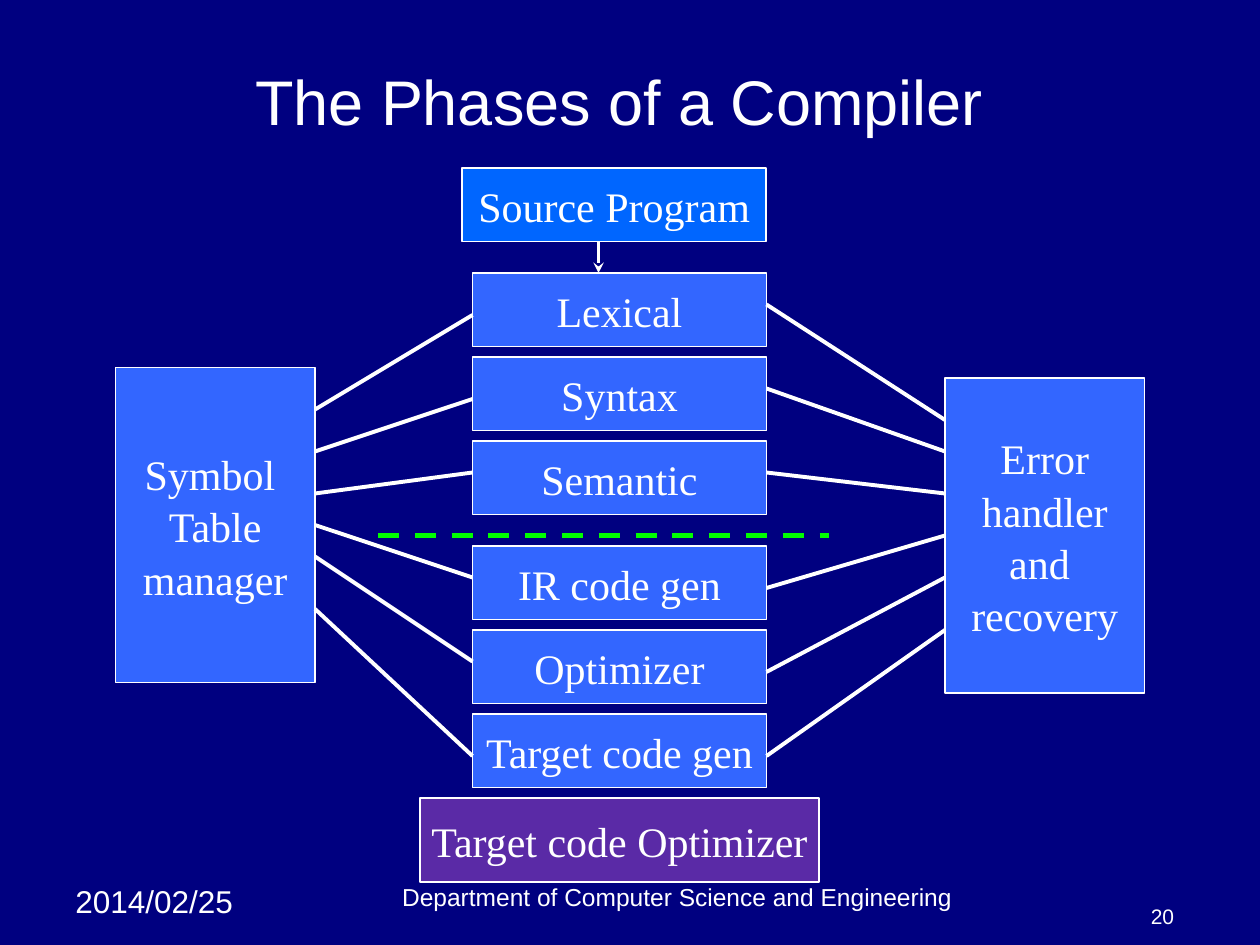
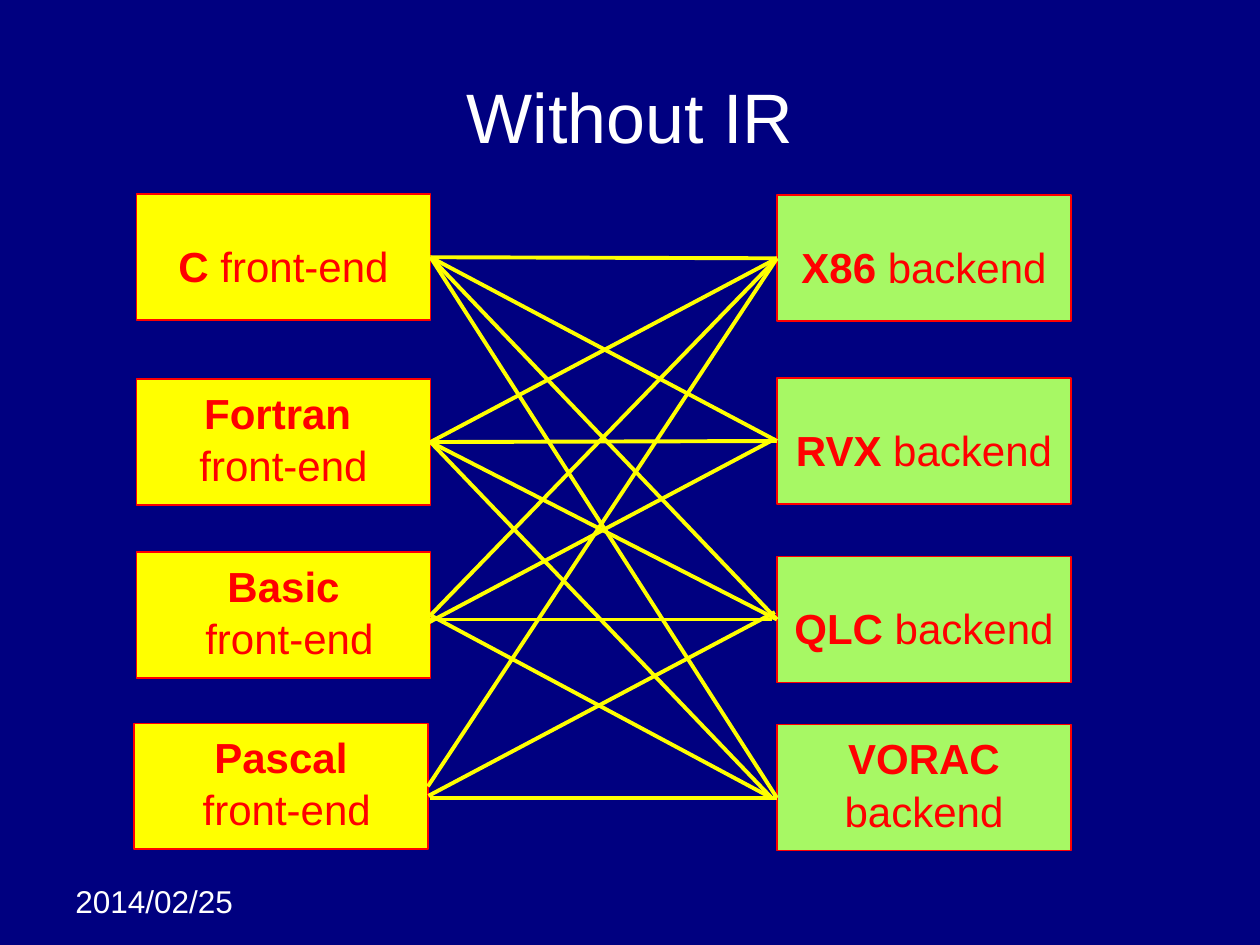
from dataclasses import dataclass
from typing import NamedTuple, Optional

from lxml import etree
from pptx import Presentation, util as u
from pptx.dml.color import RGBColor
from pptx.enum import dml, shapes, text
from pptx.oxml import ns

COLUMNS, ROWS = 120, 90
SLIDE_WIDTH, SLIDE_HEIGHT = u.Inches(10), u.Inches(7.5)
COLORS = {
    "navy": "000080", "white": "FFFFFF", "phase": "3366FF", "source": "0066FF",
    "purple": "5A2AA6", "divider": "00FF00", "yellow": "FFFF00",
    "green": "A7F864", "red": "FF0000",
}
SANS, SERIF = "Arial", "Times New Roman"
CENTER, LEFT, RIGHT = text.PP_ALIGN.CENTER, text.PP_ALIGN.LEFT, text.PP_ALIGN.RIGHT
TOP, MIDDLE, BOTTOM = text.MSO_ANCHOR.TOP, text.MSO_ANCHOR.MIDDLE, text.MSO_ANCHOR.BOTTOM
LEFT_SIDE, RIGHT_SIDE = 1, 3


class Run(NamedTuple):
    words: str
    bold: bool = False
    size: Optional[float] = None


class Point(NamedTuple):
    column: float
    row: float


@dataclass
class Area:
    column: float
    row: float
    width: float
    height: float


@dataclass
class Phase:
    name: str
    symbol_rows: tuple
    error_rows: tuple


@dataclass
class End:
    name: str
    area: Area
    lines: list
    inset_top: float = 0.05


@dataclass
class Wire:
    front: int
    back: int
    start: Optional[Point] = None
    finish: Optional[Point] = None


PHASES = [
    Phase("Lexical", (39, 30), (29, 40)),
    Phase("Syntax", (43, 38), (37, 43)),
    Phase("Semantic", (47, 45), (45, 47)),
    Phase("IR code gen", (50, 55), (56, 51)),
    Phase("Optimizer", (53, 63), (64, 55)),
    Phase("Target code gen", (58, 72), (72, 60)),
]
PHASE_LEFT, PHASE_WIDTH, BOX_HEIGHT = 45, 28, 7
FIRST_PHASE_ROW, PHASE_STEP, BACK_PHASES_FROM, DIVIDER_GAP = 26, 8, 3, 2
SYMBOL_TABLE = Area(11, 35, 19, 30)
ERROR_HANDLER = Area(90, 36, 19, 30)

LOWERED = 0.35
FRONT_ENDS = [
    End("C", Area(13, 18.5, 28, 12), [[Run("C", True), Run(" front-end")]], LOWERED),
    End("Fortran", Area(13, 36.1, 28, 12), [[Run("Fortran ", True)], [Run("front-end")]]),
    End("Basic", Area(13, 52.6, 28, 12), [[Run("Basic", True)], [Run(" front-end")]]),
    End("Pascal", Area(12.75, 68.9, 28, 12), [[Run("Pascal", True)], [Run(" front-end")]]),
]
BACKENDS = [
    End(name, Area(74, row, 28, 12), [[Run(name, True), Run(" backend")]], inset)
    for name, row, inset in [("X86", 18.6, LOWERED), ("RVX", 36, LOWERED),
                             ("QLC", 53, LOWERED), ("VORAC", 69, 0.05)]
]
WIRES = [
    Wire(0, 0), Wire(0, 1), Wire(0, 2), Wire(0, 3, finish=Point(74, 76)),
    Wire(1, 0), Wire(1, 1), Wire(1, 2), Wire(1, 3, finish=Point(73.5, 76)),
    Wire(2, 0), Wire(2, 1, Point(40.8, 59.3), Point(73.8, 41.8)),
    Wire(2, 2, Point(40.6, 59), Point(73.5, 59)), Wire(2, 3, finish=Point(73.5, 76)),
    Wire(3, 0), Wire(3, 2, Point(40.8, 75.8), Point(73.8, 58.3)),
    Wire(3, 3, Point(41, 76), Point(74, 76)),
]


def across(columns: float) -> int:
    return round(SLIDE_WIDTH * columns / COLUMNS)


def down(rows: float) -> int:
    return round(SLIDE_HEIGHT * rows / ROWS)


def frame(area: Area) -> tuple:
    return across(area.column), down(area.row), across(area.width), down(area.height)


def rgb(name: str) -> RGBColor:
    return RGBColor.from_string(COLORS[name])


def write(holder, lines: list, *, size: float, font: str = SANS, color: str = "white",
          align=CENTER, anchor=MIDDLE, wrap: bool = True, inset_top: float = 0.05,
          spacing: float = 1.04) -> None:
    body = holder.text_frame
    body.word_wrap = wrap
    body.vertical_anchor = anchor
    body.margin_top = u.Inches(inset_top)
    for index, runs in enumerate(lines):
        paragraph = body.paragraphs[0] if index == 0 else body.add_paragraph()
        paragraph.alignment = align
        paragraph.line_spacing = spacing
        for part in runs:
            run = paragraph.add_run()
            run.text = part.words
            run.font.name = font
            run.font.size = u.Pt(part.size or size)
            run.font.bold = part.bold
            run.font.color.rgb = rgb(color)


def label(slide, area: Area, runs: list, **style) -> None:
    write(slide.shapes.add_textbox(*frame(area)), [runs], spacing=1.0, **style)


def box(slide, area: Area, lines: list, fill: str, border: str = "white", **style):
    rectangle = slide.shapes.add_shape(shapes.MSO_SHAPE.RECTANGLE, *frame(area))
    rectangle.shadow.inherit = False
    rectangle.fill.solid()
    rectangle.fill.fore_color.rgb = rgb(fill)
    rectangle.line.color.rgb = rgb(border)
    rectangle.line.width = u.Pt(1)
    write(rectangle, lines, size=24, **style)
    return rectangle


def stage(slide, area: Area, *names: str, fill: str = "phase"):
    return box(slide, area, [[Run(name)] for name in names], fill, font=SERIF, wrap=False)


def link(slide, start: Point, finish: Point, color: str = "white", width: float = 2.25,
         dashed: bool = False, arrow: bool = False):
    line = slide.shapes.add_connector(
        shapes.MSO_CONNECTOR.STRAIGHT, across(start.column), down(start.row),
        across(finish.column), down(finish.row))
    line.line.color.rgb = rgb(color)
    line.line.width = u.Pt(width)
    if dashed:
        line.line.dash_style = dml.MSO_LINE.DASH
    if arrow:
        etree.SubElement(line.line._get_or_add_ln(), ns.qn("a:tailEnd"), type="stealth")
    etree.SubElement(line._element.spPr, ns.qn("a:effectLst"))
    return line


def start_slide(deck, title_area: Area, title: list, title_size: float):
    slide = deck.slides.add_slide(deck.slide_layouts[6])
    label(slide, Area(6, 83.4, 19, 4.8), [Run("2014/02/25")], size=18, align=LEFT, anchor=TOP)
    label(slide, title_area, title, size=title_size)
    return slide


def add_phases_slide(deck) -> None:
    slide = start_slide(deck, Area(9, 4, 102, 10),
                        [Run("The Phases of a Compiler"), Run(" ", size=44)], 36)
    label(slide, Area(24, 83.4, 81, 4), [Run("Department of Computer Science and Engineering")],
          size=14, anchor=BOTTOM)
    label(slide, Area(105, 85, 8, 4), [Run("20")], size=12, align=RIGHT, anchor=BOTTOM)

    stage(slide, Area(44, 16, 29, BOX_HEIGHT), "Source Program", fill="source")
    stage(slide, SYMBOL_TABLE, "Symbol ", "Table", "manager")
    stage(slide, ERROR_HANDLER, "Error", "handler", "and ", "recovery")
    link(slide, Point(36, 51), Point(79, 51), "divider", 3, dashed=True)

    symbol_edge = SYMBOL_TABLE.column + SYMBOL_TABLE.width
    phase_edge = PHASE_LEFT + PHASE_WIDTH
    for index, phase in enumerate(PHASES):
        row = FIRST_PHASE_ROW + PHASE_STEP * index
        if index >= BACK_PHASES_FROM:
            row += DIVIDER_GAP
        stage(slide, Area(PHASE_LEFT, row, PHASE_WIDTH, BOX_HEIGHT), phase.name)
        symbol_row, left_row = phase.symbol_rows
        right_row, error_row = phase.error_rows
        link(slide, Point(symbol_edge, symbol_row), Point(PHASE_LEFT, left_row))
        link(slide, Point(phase_edge, right_row), Point(ERROR_HANDLER.column, error_row))

    stage(slide, Area(40, 76, 38, 8), "Target code Optimizer", fill="purple")
    link(slide, Point(57, 23), Point(57, 26), width=2, arrow=True)


def add_without_ir_slide(deck) -> None:
    slide = start_slide(deck, Area(6, 5, 108, 12), [Run("Without IR")], 40)

    def draw_ends(ends: list, fill: str) -> list:
        return [box(slide, end.area, end.lines, fill, "red", color="red", anchor=TOP,
                    inset_top=end.inset_top) for end in ends]

    fronts = draw_ends(FRONT_ENDS, "yellow")
    backs = draw_ends(BACKENDS, "green")
    for wire in WIRES:
        front, back = FRONT_ENDS[wire.front].area, BACKENDS[wire.back].area
        front_middle = Point(front.column + front.width, front.row + front.height / 2)
        back_middle = Point(back.column, back.row + back.height / 2)
        line = link(slide, wire.start or front_middle, wire.finish or back_middle, "yellow")
        if wire.start is None:
            line.begin_connect(fronts[wire.front], RIGHT_SIDE)
        if wire.finish is None:
            line.end_connect(backs[wire.back], LEFT_SIDE)


def main() -> None:
    deck = Presentation()
    deck.slide_width, deck.slide_height = SLIDE_WIDTH, SLIDE_HEIGHT
    backdrop = deck.slide_master.background.fill
    backdrop.solid()
    backdrop.fore_color.rgb = rgb("navy")
    add_phases_slide(deck)
    add_without_ir_slide(deck)
    deck.save("out.pptx")


if __name__ == "__main__":
    main()
